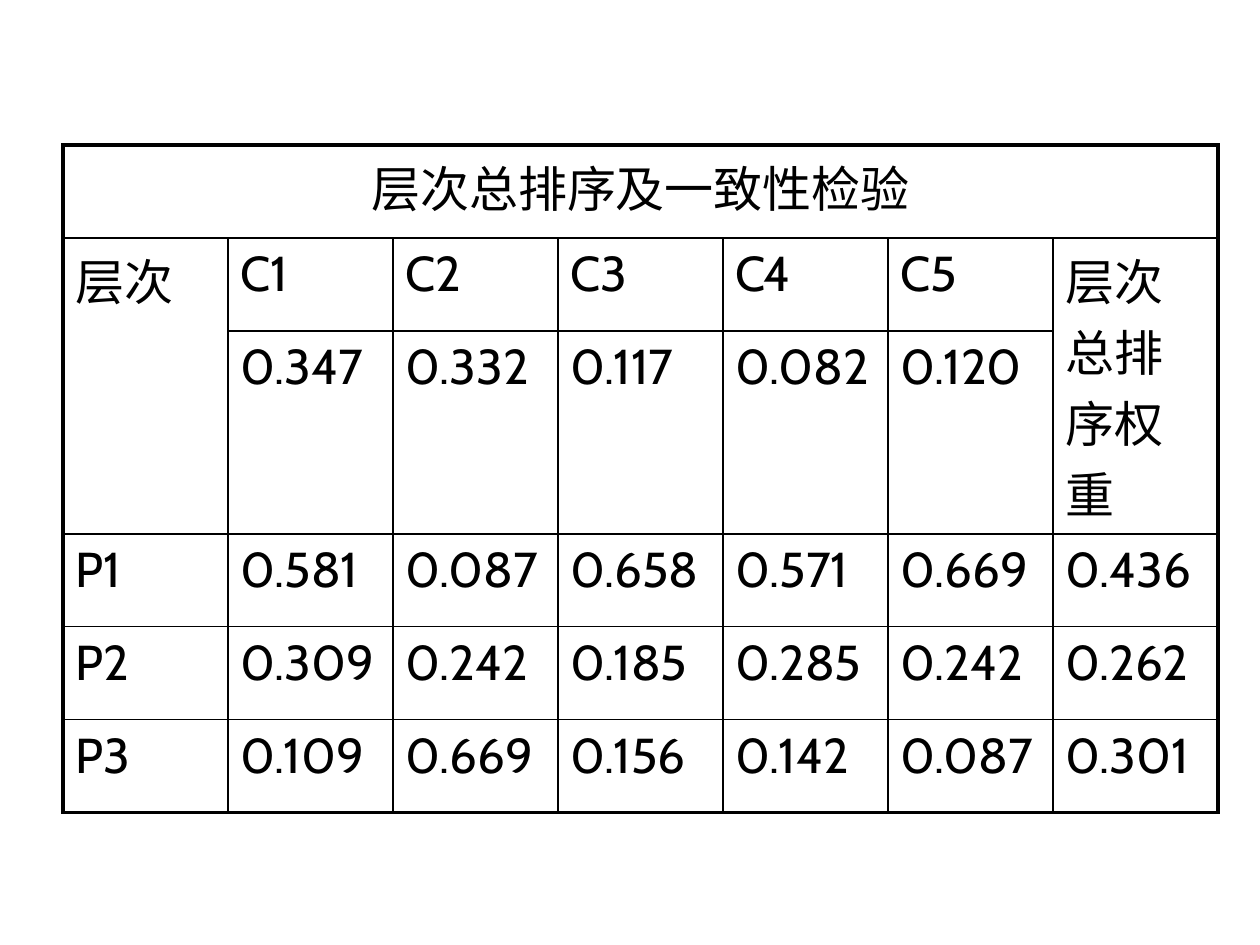
import pptx
import pptx.util
import pptx.dml.color
import pptx.enum.text
import pptx.oxml.ns
import lxml.etree

ROWS = [
    ["层次总排序及一致性检验", "", "", "", "", "", ""],
    ["层次", "C1", "C2", "C3", "C4", "C5", "层次总排序权重"],
    ["", "0.347", "0.332", "0.117", "0.082", "0.120", ""],
    ["P1", "0.581", "0.087", "0.658", "0.571", "0.669", "0.436"],
    ["P2", "0.309", "0.242", "0.185", "0.285", "0.242", "0.262"],
    ["P3", "0.109", "0.669", "0.156", "0.142", "0.087", "0.301"],
]
MERGES = [((0, 0), (0, 6)), ((1, 0), (2, 0)), ((1, 6), (2, 6))]
HIGHS = [93, 93, 155, 93, 93, 93]
WIDE = 165
LEFT, TOP = 63, 145
THEME = {"font": "Cabin", "size": 28, "ink": "000000", "thin": 1, "thick": 2.25}
INK = pptx.dml.color.RGBColor.from_string(THEME["ink"])


def px(n):
    return pptx.util.Emu(round(n * 914400 / 126))


def node(base, tag, **attrs):
    return lxml.etree.SubElement(base, pptx.oxml.ns.qn(tag), **attrs)


def edge(cell, side, heavy):
    width = pptx.util.Pt(THEME["thick" if heavy else "thin"])
    line = node(cell._tc.get_or_add_tcPr(), f"a:ln{side}", w=str(width))
    node(node(line, "a:solidFill"), "a:srgbClr", val=THEME["ink"])


def write(cell, text, align):
    para = cell.text_frame.paragraphs[0]
    para.alignment = align
    gap = node(para._p.get_or_add_pPr(), "a:spcBef")
    node(gap, "a:spcPct", val="20000")
    run = para.add_run()
    run.text = text
    run.font.name = THEME["font"]
    run.font.size = pptx.util.Pt(THEME["size"])
    run.font.color.rgb = INK


def main():
    deck = pptx.Presentation()
    deck.slide_width, deck.slide_height = px(1260), px(945)
    slide = deck.slides.add_slide(deck.slide_layouts[6])
    rows, cols = len(ROWS), len(ROWS[0])
    grid = slide.shapes.add_table(
        rows, cols, px(LEFT), px(TOP), px(WIDE * cols), px(sum(HIGHS))
    ).table
    grid.first_row = grid.horz_banding = False
    for col in grid.columns:
        col.width = px(WIDE)
    for row, high in zip(grid.rows, HIGHS):
        row.height = px(high)
    for start, end in MERGES:
        grid.cell(*start).merge(grid.cell(*end))

    modes = pptx.enum.text.PP_ALIGN
    for r, row in enumerate(ROWS):
        for c, text in enumerate(row):
            cell = grid.cell(r, c)
            if cell.is_spanned:
                continue
            right, low = c + cell.span_width, r + cell.span_height
            edge(cell, "L", c == 0)
            edge(cell, "R", right == cols)
            edge(cell, "T", r == 0)
            edge(cell, "B", low == rows)
            cell.fill.background()
            write(cell, text, modes.LEFT if r else modes.CENTER)
    deck.save("out.pptx")


if __name__ == "__main__":
    main()
